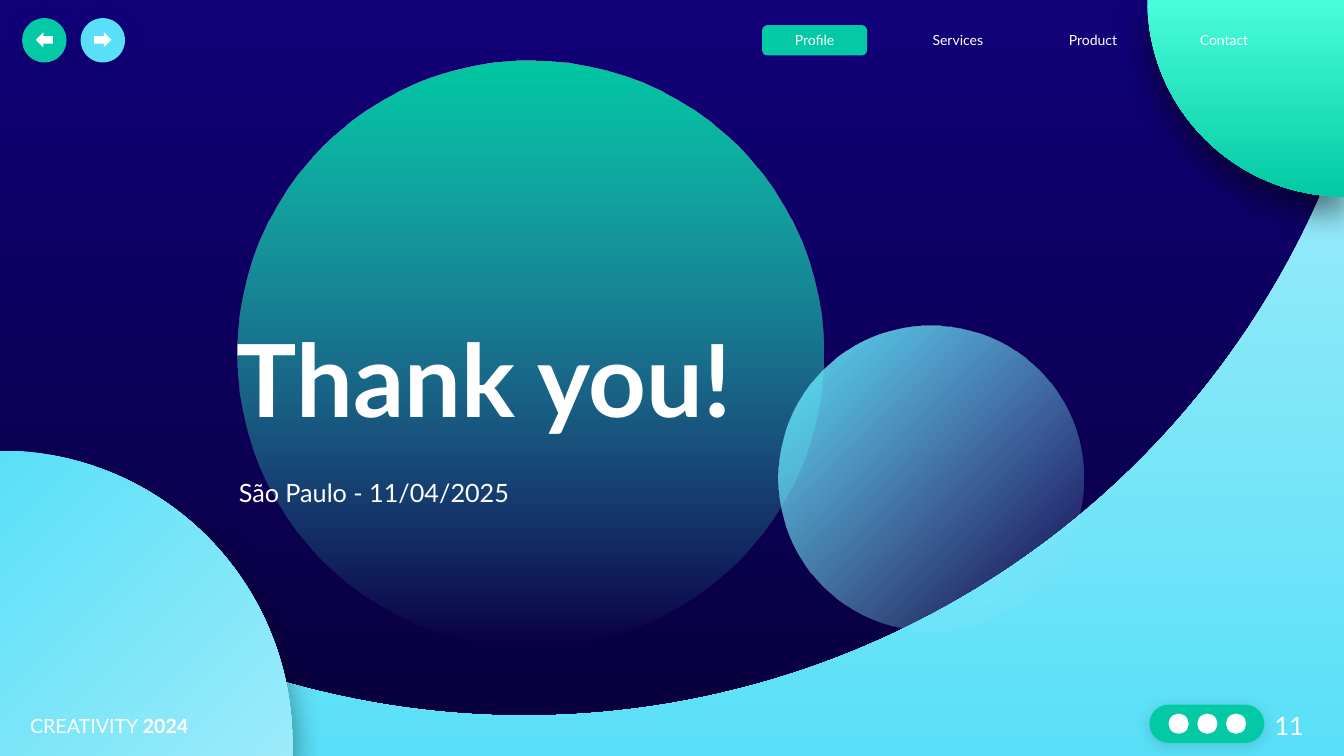
from dataclasses import dataclass
from math import cos, radians, sin

from lxml.etree import SubElement
from pptx import Presentation
from pptx.dml.color import RGBColor
from pptx.enum.shapes import MSO_SHAPE as Preset
from pptx.enum.text import MSO_AUTO_SIZE as AutoSize, PP_ALIGN as Align
from pptx.oxml.ns import qn
from pptx.util import Inches, Pt

WIDTH, HEIGHT = 13.33, 7.5
FONT = "Lato"
WHITE, GREEN, MINT = "FFFFFF", "03CAA4", "48FDDA"
CYAN, PALE_CYAN = "59E0F8", "9BEBFA"
NAVY, DARK_NAVY = "110078", "08003C"

Point = tuple[float, float]


@dataclass
class Gradient:
    start: str
    end: str
    angle: int = 90  # clockwise; 90 runs from top to bottom
    fades: bool = False


@dataclass
class Shadow:
    opacity: int  # percent
    blur: int
    distance: int


@dataclass
class Label:
    text: str
    box: tuple[float, float, float, float]
    size: int
    align: Align = Align.LEFT
    bold: bool = False
    spacing: float = 1.0


@dataclass
class ArrowButton:
    left: float
    color: str
    arrow: Preset


PANEL_SHADOW = Shadow(49, 23, 12)
BUTTON_SHADOW = Shadow(4, 19, 3)
PILL_SHADOW = Shadow(13, 11, 2)

presentation = Presentation()
presentation.slide_width = Inches(WIDTH)
presentation.slide_height = Inches(HEIGHT)
slide = presentation.slides.add_slide(presentation.slide_layouts[6])


def rgb(color: str) -> RGBColor:
    return RGBColor.from_string(color)


def style(shape, fill: str | Gradient, shadow: Shadow | None = None) -> None:
    shape.line.fill.background()
    shape.shadow.inherit = False
    if isinstance(fill, Gradient):
        shape.fill.gradient()
        shape.fill.gradient_angle = 360 - fill.angle
        for stop, color in zip(shape.fill.gradient_stops, (fill.start, fill.end)):
            stop.color.rgb = rgb(color)
        if fill.fades:
            colors = list(shape._element.spPr.iter(qn("a:srgbClr")))
            SubElement(colors[-1], qn("a:alpha"), val="0")
    else:
        shape.fill.solid()
        shape.fill.fore_color.rgb = rgb(fill)
    if shadow:
        effects = shape._element.spPr.find(qn("a:effectLst"))
        outer = SubElement(
            effects, qn("a:outerShdw"), blurRad=str(Pt(shadow.blur)),
            dist=str(Pt(shadow.distance)), dir="5400000", algn="t", rotWithShape="0")
        color = SubElement(outer, qn("a:srgbClr"), val="000000")
        SubElement(color, qn("a:alpha"), val=str(shadow.opacity * 1000))


def add_preset(preset: Preset, left: float, top: float, width: float, height: float,
               fill: str | Gradient, shadow: Shadow | None = None):
    shape = slide.shapes.add_shape(
        preset, Inches(left), Inches(top), Inches(width), Inches(height))
    style(shape, fill, shadow)
    return shape


def arc(center: Point, radius: float, start: float, end: float, steps: int = 120) -> list[Point]:
    angles = [radians(start + (end - start) * i / steps) for i in range(steps + 1)]
    return [(center[0] + radius * cos(a), center[1] + radius * sin(a)) for a in angles]


def add_outline(points: list[Point], fill: Gradient, shadow: Shadow | None = None) -> None:
    corners = [(Inches(x), Inches(y)) for x, y in points]
    builder = slide.shapes.build_freeform(*corners[0])
    builder.add_line_segments(corners[1:], close=True)
    style(builder.convert_to_shape(), fill, shadow)


def add_label(label: Label):
    box = slide.shapes.add_textbox(*(Inches(value) for value in label.box))
    frame = box.text_frame
    frame.word_wrap = True
    frame.auto_size = AutoSize.SHAPE_TO_FIT_TEXT
    write(frame.paragraphs[0], label)
    return frame.paragraphs[0]


def write(paragraph, label: Label) -> None:
    paragraph.text = label.text
    paragraph.alignment = label.align
    if label.spacing != 1:
        paragraph.line_spacing = label.spacing
    font = paragraph.font
    font.name, font.size, font.bold = FONT, Pt(label.size), label.bold
    font.color.rgb = rgb(WHITE)


# Background and wave
add_preset(Preset.RECTANGLE, 0, 0, WIDTH, HEIGHT, Gradient(NAVY, DARK_NAVY))
wave_edge = arc((5.2, -1.52), 8.62, 19.4, 127.1)
add_outline([(WIDTH, HEIGHT), *wave_edge, (0, HEIGHT)], Gradient(PALE_CYAN, CYAN))

# Fading circles
add_preset(Preset.OVAL, 2.36, 0.6, 5.81, 5.81, Gradient(GREEN, MINT, fades=True))
add_preset(Preset.OVAL, 7.72, 3.23, 3.03, 3.03, Gradient(CYAN, PALE_CYAN, 45, True))

# Corner panels
add_outline([(WIDTH, 0), *arc((WIDTH, 0), 1.95, 90, 180)],
            Gradient(MINT, GREEN), PANEL_SHADOW)
add_outline([(0, HEIGHT), *arc((0, 7.37), 2.9, -90, 0), (2.9, HEIGHT)],
            Gradient(CYAN, PALE_CYAN, 45), PANEL_SHADOW)

# Footer
footer = add_label(Label("CREATIVITY ", (0.2, 7.03, 2, 0.34), 14))
year = footer.add_run()
year.text = "2024"
year.font.bold = True
add_label(Label("11", (12.03, 7, 1, 0.4), 18, Align.RIGHT))

# Title and place
add_label(Label("São Paulo - 11/04/2025", (2.27, 4.54, 4.6, 0.4), 18, spacing=1.5))
add_label(Label("Thank you!", (2.25, 3.09, 8.84, 1.31), 72, bold=True))

# Navigation
profile = add_preset(Preset.ROUNDED_RECTANGLE, 7.56, 0.25, 1.04, 0.3, GREEN)
profile.adjustments[0] = 0.167
write(profile.text_frame.paragraphs[0], Label("Profile", (), 10, Align.CENTER))
for text, left in (("Services", 8.98), ("Product", 10.32), ("Contact", 11.62)):
    add_label(Label(text, (left, 0.26, 1.04, 0.27), 10, Align.CENTER))

# Social pill with plain dots
pill = add_preset(Preset.ROUNDED_RECTANGLE, 11.4, 6.99, 1.14, 0.38, GREEN, PILL_SHADOW)
pill.adjustments[0] = 0.5
for index in range(3):
    add_preset(Preset.OVAL, 11.59 + index * 0.285, 7.08, 0.2, 0.2, WHITE)

# Arrow buttons
for button in (ArrowButton(0.8, CYAN, Preset.RIGHT_ARROW),
               ArrowButton(0.22, GREEN, Preset.LEFT_ARROW)):
    add_preset(Preset.OVAL, button.left, 0.18, 0.44, 0.44, button.color, BUTTON_SHADOW)
    add_preset(button.arrow, button.left + 0.135, 0.32, 0.17, 0.15, WHITE)

presentation.save("out.pptx")
